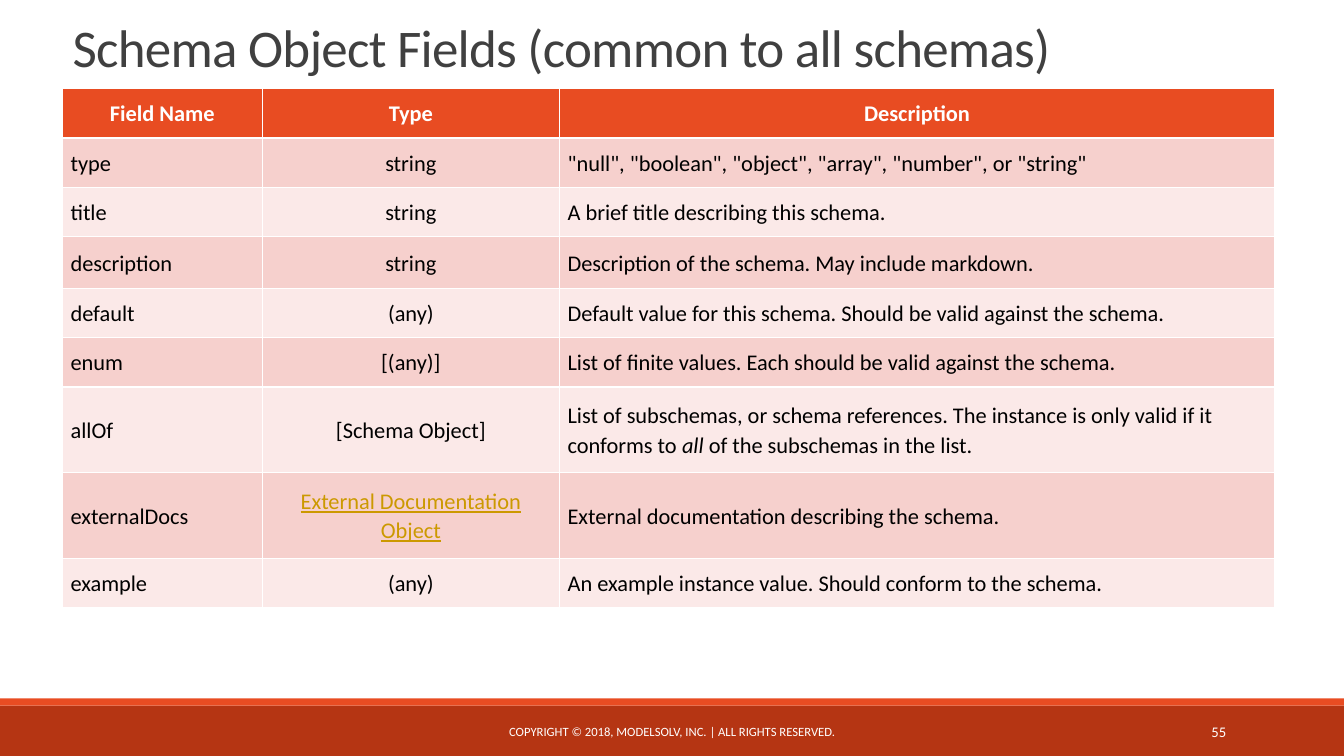
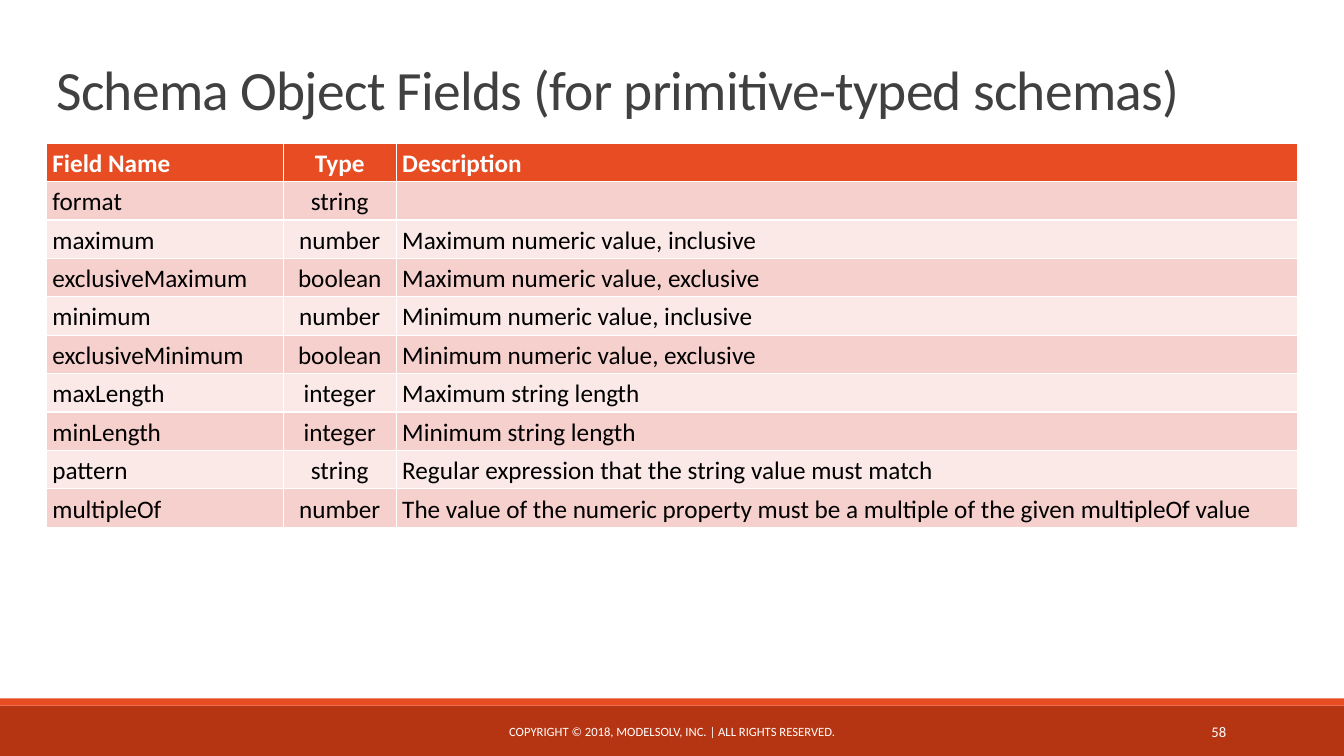
import pptx
import pptx.dml.color
import pptx.enum.shapes
import pptx.enum.text
import pptx.util

Inches = pptx.util.Inches
Pt = pptx.util.Pt
ALIGN = pptx.enum.text.PP_ALIGN
MIDDLE = pptx.enum.text.MSO_ANCHOR.MIDDLE

FONT = "Calibri"
WHITE, BLACK, TITLE_GREY, LINK_GOLD = "FFFFFF", "000000", "404040", "CC9900"
ORANGE, RUST = "E84C22", "B53513"
ROW_FILLS = ["FBE9E8", "F6D0CD"]
BANDS = [(7, 0.5, RUST), (6.93, 0.07, ORANGE)]  # top, height, fill
COPYRIGHT = "COPYRIGHT © 2018, MODELSOLV, INC. | ALL RIGHTS RESERVED."
HEADER = ("Field Name", "Type", "Description")
LINK = "External Documentation Object"

PAGES = [
    {
        "title": "Schema Object Fields (common to all schemas)",
        "title_at": (0.62, 0.31, 11.58, 0.52),
        "title_size": 37.8,
        "number": "55",
        "table_at": (0.62, 0.88),
        "columns": (1.98, 2.95, 7.09),
        "row_heights": (0.49, 0.49, 0.49, 0.51, 0.49, 0.49, 0.85, 0.85, 0.49),
        "margins": (0.08, 0.04),
        "size": 16,
        "header_aligns": (ALIGN.CENTER, ALIGN.CENTER, ALIGN.CENTER),
        "rows": [
            ("type", "string", '"null", "boolean", "object", "array", "number", or "string"'),
            ("title", "string", "A brief title describing this schema."),
            ("description", "string", "Description of the schema. May include markdown."),
            ("default", "(any)", "Default value for this schema. Should be valid against the schema."),
            ("enum", "[(any)]", "List of finite values. Each should be valid against the schema."),
            ("allOf", "[Schema Object]",
             "List of subschemas, or schema references. The instance is only valid if it "
             "conforms to *all *of the subschemas in the list."),
            ("externalDocs", LINK, "External documentation describing the schema."),
            ("example", "(any)", "An example instance value. Should conform to the schema."),
        ],
    },
    {
        "title": "Schema Object Fields (for primitive-typed schemas)",
        "title_at": (0.46, 0.51, 12.42, 0.76),
        "title_size": 39.6,
        "number": "58",
        "table_at": (0.46, 1.42),
        "columns": (2.35, 1.12, 8.94),
        "row_heights": (0.38,) * 10,
        "margins": (0.06, 0.03),
        "size": 18,
        "header_aligns": (ALIGN.LEFT, ALIGN.CENTER, ALIGN.LEFT),
        "rows": [
            ("format", "string", ""),
            ("maximum", "number", "Maximum numeric value, inclusive"),
            ("exclusiveMaximum", "boolean", "Maximum numeric value, exclusive"),
            ("minimum", "number", "Minimum numeric value, inclusive"),
            ("exclusiveMinimum", "boolean", "Minimum numeric value, exclusive"),
            ("maxLength", "integer", "Maximum string length"),
            ("minLength", "integer", "Minimum string length"),
            ("pattern", "string", "Regular expression that the string value must match"),
            ("multipleOf", "number",
             "The value of the numeric property must be a multiple of the given multipleOf value"),
        ],
    },
]


def rgb(value):
    return pptx.dml.color.RGBColor.from_string(value)


def write(paragraph, text, size, color, align, bold=False):
    """Fill a paragraph; parts between asterisks become italic."""
    paragraph.alignment = align
    paragraph.font.name = FONT
    paragraph.font.size = Pt(size)
    paragraph.font.color.rgb = rgb(color)
    paragraph.font.bold = bold
    for index, part in enumerate(text.split("*")):
        if part:
            span = paragraph.add_run()
            span.text = part
            if index % 2:
                span.font.italic = True


deck = pptx.Presentation()
deck.slide_width = Inches(13.33)
deck.slide_height = Inches(7.5)

for content in PAGES:
    page = deck.slides.add_slide(deck.slide_layouts[5])

    for top, height, fill in BANDS:
        band = page.shapes.add_shape(
            pptx.enum.shapes.MSO_SHAPE.RECTANGLE, 0, Inches(top), deck.slide_width, Inches(height))
        band.shadow.inherit = False
        band.fill.solid()
        band.fill.fore_color.rgb = rgb(fill)
        band.line.fill.background()

    title = page.shapes.title
    title.left, title.top, title.width, title.height = map(Inches, content["title_at"])
    frame = title.text_frame
    frame.word_wrap = True
    frame.auto_size = pptx.enum.text.MSO_AUTO_SIZE.NONE
    frame.vertical_anchor = pptx.enum.text.MSO_ANCHOR.BOTTOM
    heading = frame.paragraphs[0]
    heading.line_spacing = 0.9
    write(heading, content["title"], content["title_size"], TITLE_GREY, ALIGN.LEFT)
    heading.runs[0].font._element.set("spc", "-50")

    for left, width, text, size, align in [
        (4.03, 5.27, COPYRIGHT, 9, ALIGN.CENTER),
        (10.83, 1.43, content["number"], 10.5, ALIGN.RIGHT),
    ]:
        box = page.shapes.add_textbox(Inches(left), Inches(7.06), Inches(width), Inches(0.4))
        box.text_frame.word_wrap = True
        box.text_frame.vertical_anchor = MIDDLE
        write(box.text_frame.paragraphs[0], text, size, WHITE, align)

    rows = [HEADER] + content["rows"]
    left, top = content["table_at"]
    table = page.shapes.add_table(
        len(rows), len(HEADER), Inches(left), Inches(top),
        Inches(sum(content["columns"])), Inches(sum(content["row_heights"]))).table
    for column, width in zip(table.columns, content["columns"]):
        column.width = Inches(width)
    for row, height in zip(table.rows, content["row_heights"]):
        row.height = Inches(height)

    side, edge = map(Inches, content["margins"])
    for row_index, texts in enumerate(rows):
        is_header = row_index == 0
        aligns = content["header_aligns"] if is_header else (ALIGN.LEFT, ALIGN.CENTER, ALIGN.LEFT)
        for column_index, (text, align) in enumerate(zip(texts, aligns)):
            cell = table.cell(row_index, column_index)
            cell.margin_left = cell.margin_right = side
            cell.margin_top = cell.margin_bottom = edge
            cell.vertical_anchor = MIDDLE
            cell.fill.solid()
            cell.fill.fore_color.rgb = rgb(ORANGE if is_header else ROW_FILLS[row_index % 2])
            color = WHITE if is_header else LINK_GOLD if text == LINK else BLACK
            paragraph = cell.text_frame.paragraphs[0]
            paragraph.line_spacing = 1.07
            write(paragraph, text, content["size"], color, align, is_header)
            if text == LINK:
                paragraph.font.underline = True

deck.save("out.pptx")
